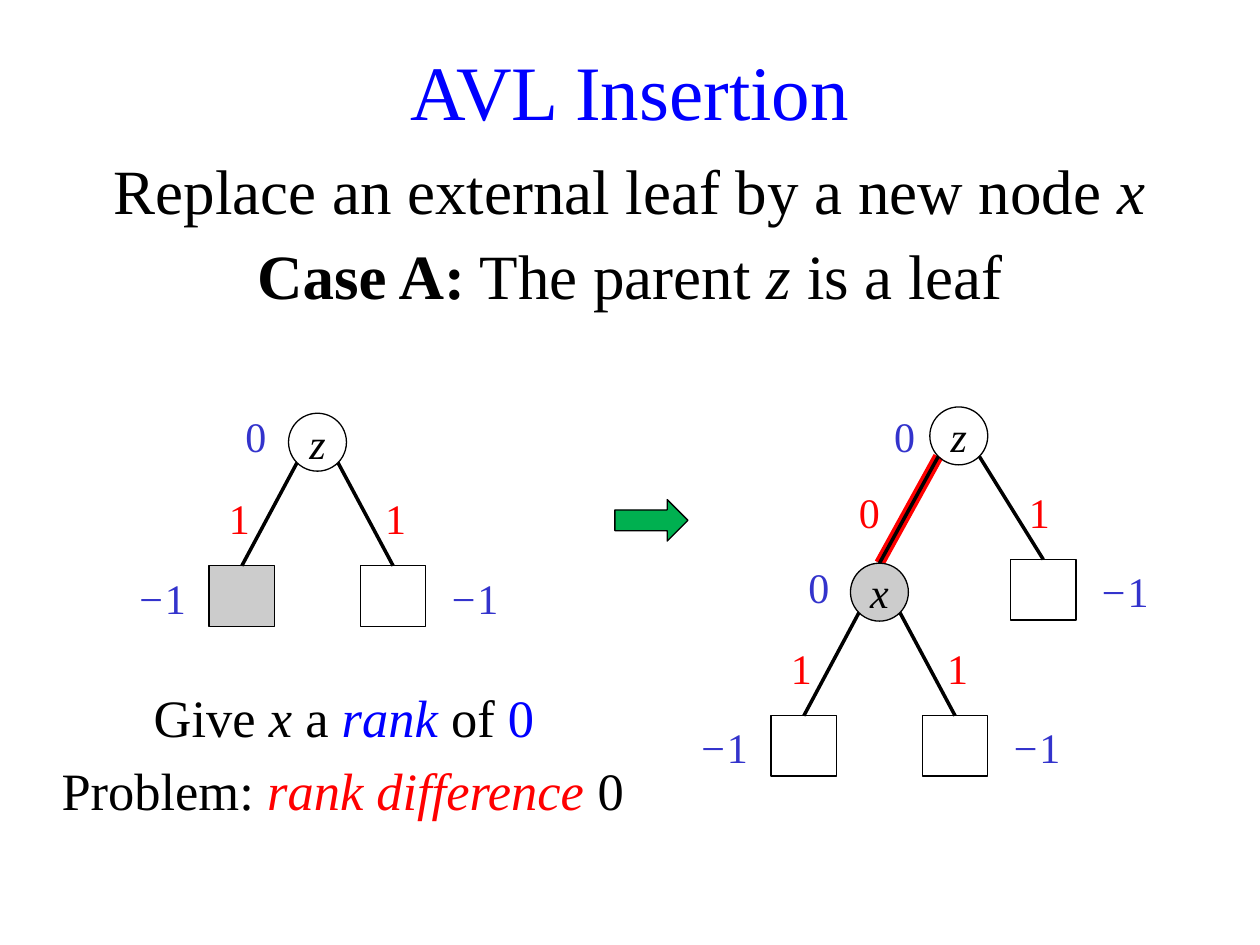
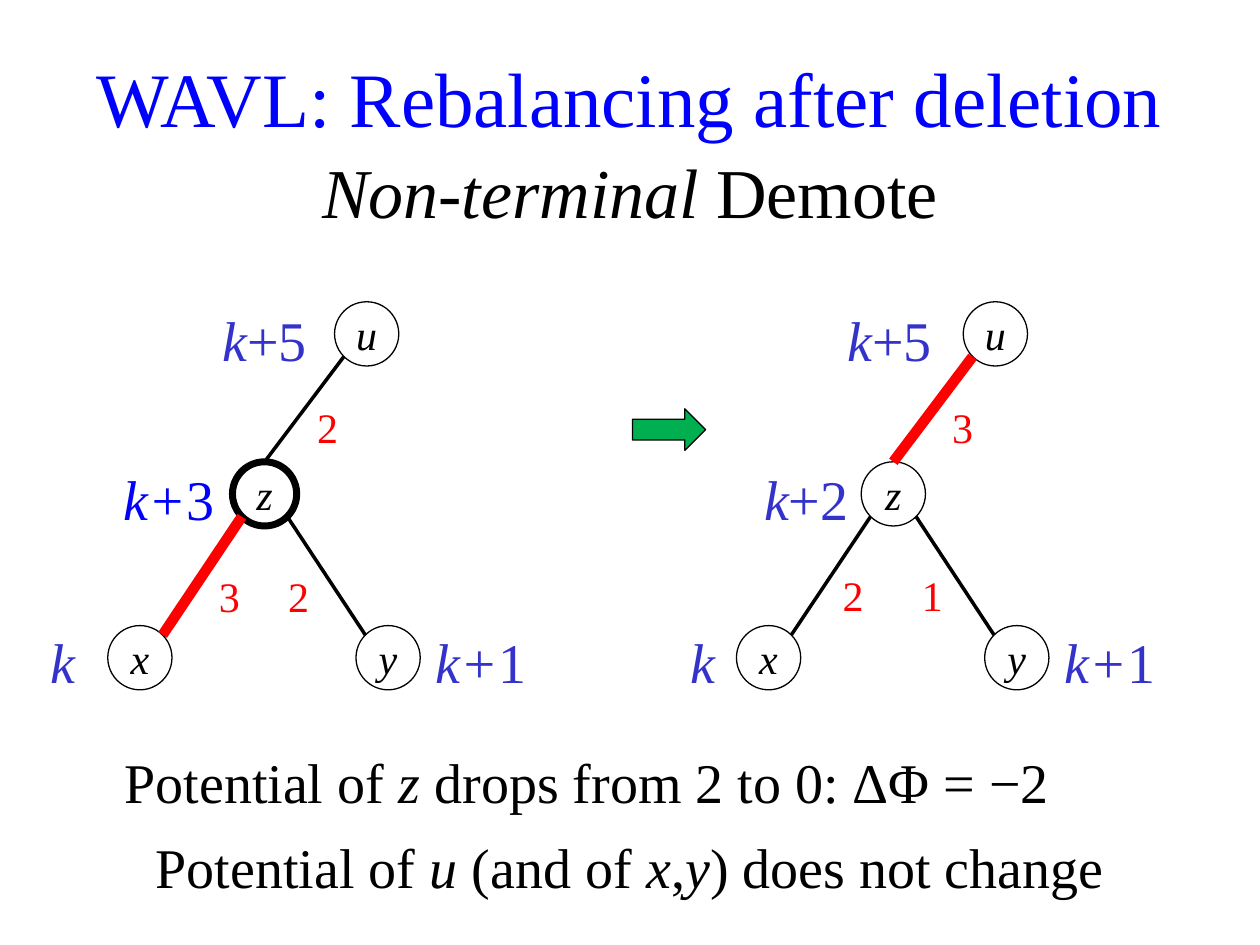
from dataclasses import dataclass

import pptx
import pptx.dml.color
import pptx.enum.shapes
import pptx.enum.text
import pptx.oxml.ns
import pptx.util
from lxml import etree
from pptx.util import Inches

MSO_SHAPE = pptx.enum.shapes.MSO_SHAPE
FONT = "Times New Roman"
COLORS = {
    "black": "000000",
    "blue": "0000FF",
    "rank": "3333CC",
    "red": "FF0000",
    "green": "00B050",
    "gray": "CCCCCC",
}


@dataclass
class Span:
    """Text of one colour; parts between underscores are italic."""
    text: str
    color: str = "black"
    bold: bool = False


@dataclass
class Label:
    x: float
    y: float
    text: str
    color: str = "rank"
    size: int = 24


@dataclass
class Node:
    """A tree node given by its centre; without a name it is a square leaf."""
    x: float
    y: float
    name: str = ""
    width: float = 0.52
    height: float = 0.48
    fill: str = ""
    outline: float = 0.75

    def side(self, where: str) -> tuple[float, float]:
        dx, dy = SIDES[where]
        return self.x + dx * self.width / 2, self.y + dy * self.height / 2


SIDES = {
    "top": (0, -1),
    "top left": (-0.71, -0.71),
    "top right": (0.71, -0.71),
    "bottom left": (-0.71, 0.71),
    "bottom right": (0.71, 0.71),
}


def rgb(name: str) -> pptx.dml.color.RGBColor:
    return pptx.dml.color.RGBColor.from_string(COLORS[name])


# Text

def write(tf, spans: list[Span], size: int) -> None:
    tf.margin_left = tf.margin_right = tf.margin_top = tf.margin_bottom = 0
    tf.vertical_anchor = pptx.enum.text.MSO_ANCHOR.MIDDLE
    tf.word_wrap = True
    p = tf.paragraphs[0]
    p.alignment = pptx.enum.text.PP_ALIGN.CENTER
    for span in spans:
        for i, part in enumerate(span.text.split("_")):
            if not part:
                continue
            r = p.add_run()
            r.text = part
            r.font.name = FONT
            r.font.size = pptx.util.Pt(size)
            r.font.italic = i % 2 == 1
            r.font.bold = span.bold
            r.font.color.rgb = rgb(span.color)


def add_line(slide, y: float, size: int, *spans: Span,
             x: float = 5, width: float = 10) -> None:
    """Add one line of text centred on x, y."""
    height = size / 60
    box = slide.shapes.add_textbox(Inches(x - width / 2), Inches(y - height / 2),
                                   Inches(width), Inches(height))
    write(box.text_frame, list(spans), size)


def add_title(slide, y: float, text: str) -> None:
    add_line(slide, y, 44, Span(text, "blue"))


def add_labels(slide, labels: list[Label]) -> None:
    for label in labels:
        add_line(slide, label.y, label.size, Span(label.text, label.color),
                 x=label.x, width=1.2)


# Shapes

def add_outlined(slide, kind, x: float, y: float, width: float, height: float,
                 fill: str = "", outline: float = 0.75):
    sp = slide.shapes.add_shape(kind, Inches(x - width / 2), Inches(y - height / 2),
                                Inches(width), Inches(height))
    sp.shadow.inherit = False
    if fill:
        sp.fill.solid()
        sp.fill.fore_color.rgb = rgb(fill)
    else:
        sp.fill.background()
    sp.line.color.rgb = rgb("black")
    sp.line.width = pptx.util.Pt(outline)
    return sp


def add_node(slide, node: Node) -> None:
    kind = MSO_SHAPE.OVAL if node.name else MSO_SHAPE.RECTANGLE
    sp = add_outlined(slide, kind, node.x, node.y, node.width, node.height,
                      node.fill, node.outline)
    if node.name:
        write(sp.text_frame, [Span(f"_{node.name}_")], 24)


def add_edge(slide, parent: Node, start: str, child: Node, end: str,
             color: str = "black", width: float = 2) -> None:
    points = [Inches(v) for v in (*parent.side(start), *child.side(end))]
    line = slide.shapes.add_connector(pptx.enum.shapes.MSO_CONNECTOR.STRAIGHT, *points)
    line.line.color.rgb = rgb(color)
    line.line.width = pptx.util.Pt(width)
    etree.SubElement(line._element.spPr, pptx.oxml.ns.qn("a:effectLst"))


def add_step_arrow(slide, x: float, y: float) -> None:
    add_outlined(slide, MSO_SHAPE.RIGHT_ARROW, x, y, 0.58, 0.33, "green")


# Slide 1: insertion below a leaf

def inner_node(x: float, y: float, name: str, fill: str = "") -> Node:
    return Node(x, y, name, 0.46, 0.46, fill)


def add_leaf_pair(slide, parent: Node, left_fill: str = "") -> None:
    """Draw a node with two external leaves, their ranks and differences."""
    add_node(slide, parent)
    for sign, start, fill in ((-1, "bottom left", left_fill), (1, "bottom right", "")):
        leaf = Node(parent.x + sign * 0.6, parent.y + 1.22, fill=fill)
        add_node(slide, leaf)
        add_edge(slide, parent, start, leaf, "top")
        add_labels(slide, [
            Label(parent.x + sign * 0.62, parent.y + 0.6, "1", "red"),
            Label(parent.x + sign * 1.24, parent.y + 1.23, "_−_1"),
        ])


def build_insertion(slide) -> None:
    add_title(slide, 0.71, "AVL Insertion")
    add_line(slide, 1.5, 36, Span("Replace an external leaf by a new node _x_"))
    add_line(slide, 2.18, 36, Span("Case A:", bold=True),
             Span(" The parent _z_ is a leaf"))

    # Before
    add_leaf_pair(slide, inner_node(2.52, 3.51, "z"), left_fill="gray")
    add_labels(slide, [Label(2.03, 3.46, "0")])
    add_step_arrow(slide, 5.17, 4.13)

    # After
    z = inner_node(7.61, 3.46, "z")
    x = inner_node(6.98, 4.7, "x", "gray")
    leaf = Node(8.28, 4.68)
    add_edge(slide, z, "bottom left", x, "top", "red", 6)
    add_node(slide, z)
    add_node(slide, leaf)
    add_leaf_pair(slide, x)
    add_edge(slide, z, "bottom left", x, "top")
    add_edge(slide, z, "bottom right", leaf, "top")
    add_labels(slide, [
        Label(7.18, 3.46, "0"),
        Label(6.5, 4.66, "0"),
        Label(8.92, 4.69, "_−_1"),
        Label(6.9, 4.06, "0", "red"),
        Label(8.25, 4.06, "1", "red"),
    ])

    add_line(slide, 5.69, 30, Span("Give _x_ a "), Span("_rank_", "blue"),
             Span(" of "), Span("0", "blue"), x=2.73, width=5.5)
    add_line(slide, 6.27, 30, Span("Problem: "), Span("_rank difference _", "red"),
             Span("0"), x=2.72, width=5.5)


# Slide 2: demotion after a deletion

def add_demote_tree(slide, dx: float, heavy_edge: str, z_outline: float) -> None:
    def circle(x: float, y: float, name: str, outline: float = 0.75) -> Node:
        return Node(x + dx, y, name, 0.51, 0.51, outline=outline)

    u = circle(2.91, 2.65, "u")
    z = circle(2.1, 3.92, "z", z_outline)
    x = circle(1.11, 5.22, "x")
    y = circle(3.08, 5.22, "y")
    for node in (u, z, x, y):
        add_node(slide, node)
    for parent, start, child, end in (
        (u, "bottom left", z, "top"),
        (z, "bottom left", x, "top right"),
        (z, "bottom right", y, "top left"),
    ):
        heavy = parent.name + child.name == heavy_edge
        add_edge(slide, parent, start, child, end,
                 "red" if heavy else "black", 6 if heavy else 2)


def build_demotion(slide) -> None:
    add_title(slide, 0.77, "WAVL: Rebalancing after deletion")
    add_line(slide, 1.51, 40, Span("_Non-terminal_ Demote"))

    # Before
    add_demote_tree(slide, 0, "zx", 4)
    add_labels(slide, [
        Label(2.1, 2.69, "_k_+5", size=32),
        Label(1.34, 3.95, "_k+_3", "blue", 32),
        Label(0.5, 5.25, "_k_", size=32),
        Label(3.82, 5.25, "_k+_1", size=32),
        Label(2.6, 3.39, "2", "red"),
        Label(1.82, 4.73, "3", "red"),
        Label(2.37, 4.73, "2", "red"),
    ])
    add_step_arrow(slide, 5.31, 3.41)

    # After
    add_demote_tree(slide, 4.99, "uz", 0.75)
    add_labels(slide, [
        Label(7.06, 2.69, "_k_+5", size=32),
        Label(6.4, 3.95, "_k_+2", size=32),
        Label(5.58, 5.25, "_k_", size=32),
        Label(8.81, 5.25, "_k+_1", size=32),
        Label(7.64, 3.39, "3", "red"),
        Label(6.77, 4.72, "2", "red"),
        Label(7.4, 4.72, "1", "red"),
    ])

    add_line(slide, 6.2, 32, Span("Potential of _z_ drops from 2 to 0: ΔΦ = −2"),
             x=4.66, width=9)
    add_line(slide, 6.87, 32,
             Span("Potential of _u_ (and of _x_,_y_) does not change"))


def main() -> None:
    prs = pptx.Presentation()
    prs.slide_width = Inches(10)
    prs.slide_height = Inches(7.5)
    for build in (build_insertion, build_demotion):
        build(prs.slides.add_slide(prs.slide_layouts[6]))
    prs.save("out.pptx")


if __name__ == "__main__":
    main()
